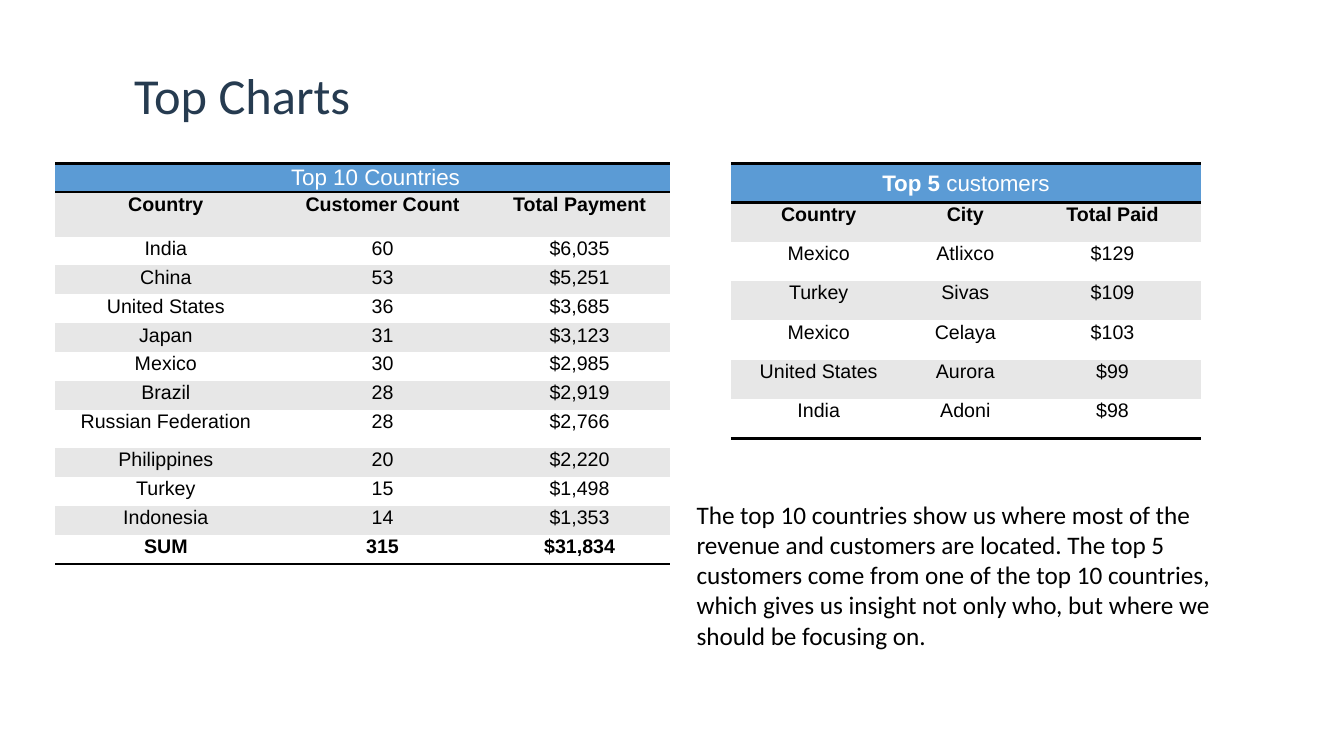
from pptx import Presentation
from pptx.dml.color import RGBColor as RGB
from pptx.enum.text import MSO_ANCHOR as Anchor, PP_ALIGN as Align
from pptx.oxml import parse_xml
from pptx.oxml.ns import nsdecls, qn
from pptx.util import Inches, Pt

TITLE = "Top Charts"
NOTE = ("The top 10 countries show us where most of the revenue and customers "
        "are located. The top 5 customers come from one of the top 10 countries, "
        "which gives us insight not only who, but where we should be focusing on.")

# head holds (text, bold) runs; inset moves the heading right in its span
BUYERS = {
    "head": [("Top 5 ", True), ("customers", False)],
    "span": 3, "inset": 0.01, "left": 7.25, "top": 1.62,
    "cols": [1.74, 1.17, 1.75], "high": 0.39, "tall": {}, "bold": {1},
    "rows": [
        ("Country", "City", "Total Paid"),
        ("Mexico", "Atlixco", "$129"),
        ("Turkey", "Sivas", "$109"),
        ("Mexico", "Celaya", "$103"),
        ("United States", "Aurora", "$99"),
        ("India", "Adoni", "$98"),
    ],
}
LANDS = {
    "head": [("Top 10 Countries", False)],
    "span": 2, "inset": 2.06, "left": 0.55, "top": 1.62,
    "cols": [2.19, 1.8, 1.8], "high": 0.287, "tall": {1: 0.44, 8: 0.38},
    "bold": {1, 12},
    "rows": [
        ("Country", "Customer Count", "Total Payment"),
        ("India", "60", "$6,035"),
        ("China", "53", "$5,251"),
        ("United States", "36", "$3,685"),
        ("Japan", "31", "$3,123"),
        ("Mexico", "30", "$2,985"),
        ("Brazil", "28", "$2,919"),
        ("Russian Federation", "28", "$2,766"),
        ("Philippines", "20", "$2,220"),
        ("Turkey", "15", "$1,498"),
        ("Indonesia", "14", "$1,353"),
        ("SUM", "315", "$31,834"),
    ],
}

THEME = {
    "title": {"name": "Calibri", "size": 36, "color": "263B50"},
    "note": {"name": "Calibri", "size": 18, "color": "000000"},
    "head": {"name": "Arial", "size": 16, "color": "FFFFFF"},
    "cell": {"name": "Arial", "size": 14, "color": "000000"},
    "fill": "5B9BD5", "bands": ("FFFFFF", "E7E7E7"), "rule": "000000",
    "plain": "{2D5ABB26-0587-4C30-8999-92F81FD0307C}",
}


def put(item, values):
    for name, value in values.items():
        setattr(item, name, value)


def style(font, kind, bold=False):
    look = THEME[kind]
    put(font, {"name": look["name"], "size": Pt(look["size"]), "bold": bold})
    font.color.rgb = RGB.from_string(look["color"])


def write(para, runs, kind):
    style(para.font, kind)
    for text, bold in runs:
        run = para.add_run()
        run.text = text
        style(run.font, kind, bold)


def rule(cell, sides):
    """Draw 2 pt borders on the given sides, named in T, B order."""
    props = cell._tc.get_or_add_tcPr()
    for spot, side in enumerate(sides):
        props.insert(spot, parse_xml(
            f'<a:ln{side} {nsdecls("a")} w="{Pt(2)}"><a:solidFill>'
            f'<a:srgbClr val="{THEME["rule"]}"/></a:solidFill></a:ln{side}>'))


def dress(cell, runs, kind, fill, sides, inset=0.01):
    put(cell, {
        "margin_left": Inches(inset), "margin_right": Inches(0.01),
        "margin_top": Inches(0.01), "margin_bottom": 0,
        "vertical_anchor": Anchor.MIDDLE if kind == "head" else Anchor.TOP,
    })
    cell.fill.solid()
    cell.fill.fore_color.rgb = RGB.from_string(fill)
    para = cell.text_frame.paragraphs[0]
    para.alignment = Align.CENTER
    write(para, runs, kind)
    rule(cell, sides)


def add_grid(slide, data):
    rows, cols = data["rows"], data["cols"]
    highs = [data["tall"].get(r, data["high"]) for r in range(len(rows) + 1)]
    frame = slide.shapes.add_table(
        len(highs), len(cols), Inches(data["left"]), Inches(data["top"]),
        Inches(sum(cols)), Inches(sum(highs)))
    for tag in frame.element.iter(qn("a:tableStyleId")):
        tag.text = THEME["plain"]
    grid = frame.table
    for col, wide in zip(grid.columns, cols):
        col.width = Inches(wide)
    for row, high in zip(grid.rows, highs):
        row.height = Inches(high)

    for c in range(len(cols)):
        first = c == 0
        dress(grid.cell(0, c), data["head"] if first else [], "head",
              THEME["fill"], "TB", data["inset"] if first else 0.01)
    grid.cell(0, 0).merge(grid.cell(0, data["span"] - 1))
    for r, row in enumerate(rows, 1):
        for c, text in enumerate(row):
            dress(grid.cell(r, c), [(text, r in data["bold"])], "cell",
                  THEME["bands"][r % 2], "B" if r == len(rows) else "")


def main():
    deck = Presentation()
    put(deck, {"slide_width": Inches(13.33), "slide_height": Inches(7.5)})
    slide = deck.slides.add_slide(deck.slide_layouts[5])

    title = slide.shapes.title
    put(title, {"left": Inches(1.23), "top": Inches(0.24),
                "width": Inches(10.5), "height": Inches(1)})
    put(title.text_frame, {"vertical_anchor": Anchor.BOTTOM,
                           "margin_bottom": 0, "word_wrap": True})
    para = title.text_frame.paragraphs[0]
    put(para, {"alignment": Align.LEFT, "line_spacing": 0.9})
    write(para, [(TITLE, False)], "title")

    note = slide.shapes.add_textbox(
        Inches(6.81), Inches(4.9), Inches(5.79), Inches(1.62))
    note.text_frame.word_wrap = True
    write(note.text_frame.paragraphs[0], [(NOTE, False)], "note")

    for data in (BUYERS, LANDS):
        add_grid(slide, data)
    deck.save("out.pptx")


if __name__ == "__main__":
    main()
